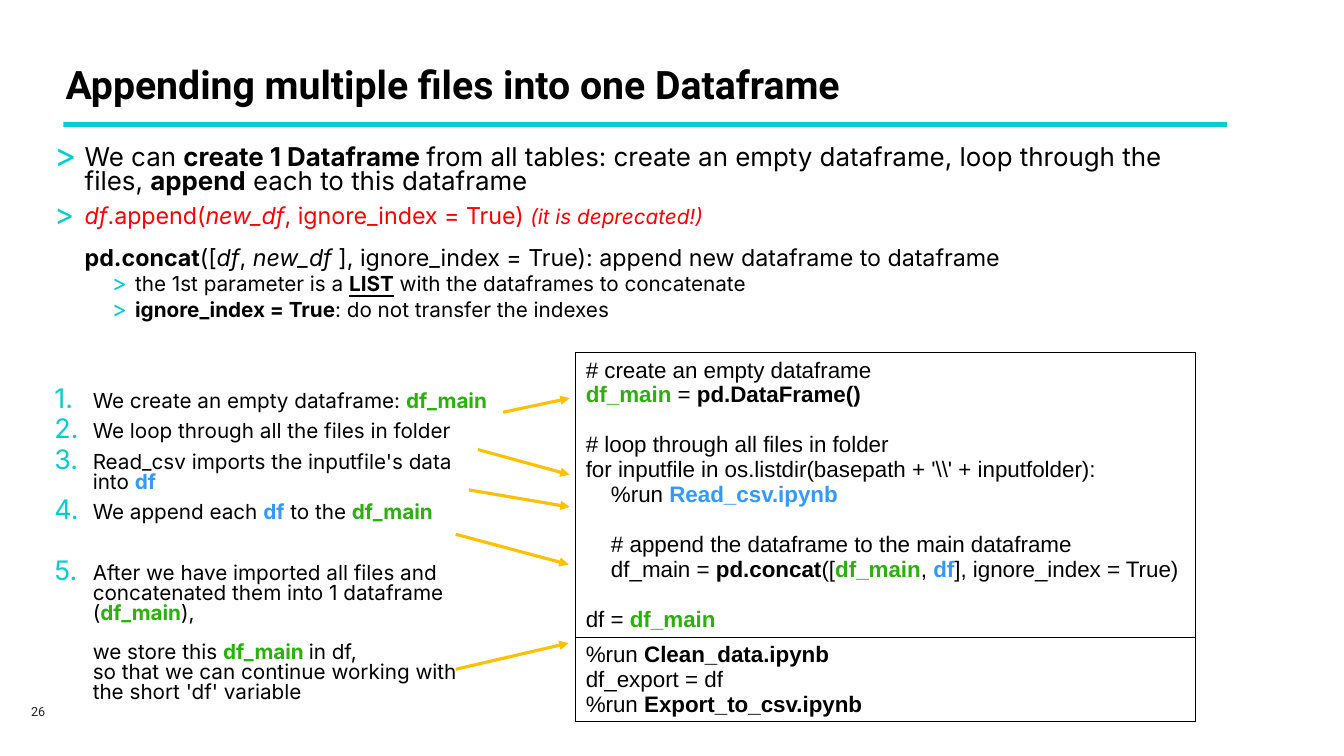
from copy import deepcopy

from lxml import etree
from pptx import Presentation
from pptx.dml.color import RGBColor
from pptx.enum.shapes import MSO_CONNECTOR, MSO_SHAPE
from pptx.enum.text import MSO_ANCHOR, MSO_AUTO_SIZE, PP_ALIGN
from pptx.oxml.ns import qn
from pptx.util import Inches, Pt

STRAIGHT = MSO_CONNECTOR.STRAIGHT
RECTANGLE = MSO_SHAPE.RECTANGLE
TOP = MSO_ANCHOR.TOP
NO_AUTOFIT = MSO_AUTO_SIZE.NONE
LEFT = PP_ALIGN.LEFT

BLACK = RGBColor(0x00, 0x00, 0x00)
GRAY = RGBColor(0x23, 0x23, 0x23)
TURQUOISE = RGBColor(0x00, 0xCE, 0xD1)
RED = RGBColor(0xFF, 0x00, 0x00)
GREEN = RGBColor(0x2B, 0xB1, 0x0B)
BLUE = RGBColor(0x33, 0x99, 0xFF)
AMBER = RGBColor(0xFF, 0xC0, 0x00)
COLORS = {"r": RED, "g": GREEN, "l": BLUE}


def add_runs(p, runs, font, size):
    r = None
    for text, style, *own_size in runs:
        for i, part in enumerate(text.split("\n")):
            if i:
                p.add_line_break()
                p._p[-1].append(deepcopy(r._r.rPr))
            r = p.add_run()
            r.text = part
            r.font.name = font
            r.font.size = Pt(own_size[0] if own_size else size)
            r.font.bold = "b" in style
            r.font.italic = "i" in style
            r.font.underline = "u" in style
            r.font.color.rgb = next((COLORS[c] for c in style if c in COLORS), BLACK)


def add_xml(parent, tag, **attributes):
    return etree.SubElement(parent, qn(tag), attributes)


prs = Presentation()
prs.slide_width = Inches(13.33)
prs.slide_height = Inches(7.5)
s = prs.slides.add_slide(prs.slide_layouts[1])
title, body = s.placeholders

title.left, title.top, title.width, title.height = map(Inches, (0.55, 0.6, 11.24, 0.64))
tf = title.text_frame
tf.auto_size = NO_AUTOFIT
tf.vertical_anchor = TOP
p = tf.paragraphs[0]
p.alignment = LEFT
p.line_spacing = 0.9
add_runs(p, [("Appending multiple files into one Dataframe", "b")], "Roboto", 28)

rule = s.shapes.add_shape(RECTANGLE, Inches(0.63), Inches(1.21), Inches(11.54), Inches(0.05))
rule.shadow.inherit = False
rule.fill.solid()
rule.fill.fore_color.rgb = TURQUOISE
rule.line.fill.background()

LEVELS = {
    "point": (0, 0.3, -0.3, 130),
    "continued": (0, 0.3, 0, None),
    "sub": (1, 0.8, -0.23, 110),
    "step": (0, 0.38, -0.38, 130),
    "step_text": (0, 0.38, 0, None),
}
PARAGRAPHS = [
    ("point", 18.5, 7.5, [
        ("We can ", ""), ("create 1 Dataframe ", "b"),
        ("from all tables: create an empty dataframe, loop through the files, ", ""),
        ("append", "b"), (" each to this dataframe", "")]),
    ("point", 16.6, 7.5, [
        ("df", "ir"), (".append(", "r"), ("new_df", "ir"),
        (", ignore_index = True) ", "r"), ("(it is deprecated!)", "ir", 14.8)]),
    ("continued", 16.6, 14, [
        ("pd.concat", "b"), ("([", ""), ("df", "i"), (", ", ""), ("new_df ", "i"),
        ("], ignore_index = True): append new dataframe to dataframe", "")]),
    ("sub", 14.8, 3.8, [
        ("the 1st parameter is a ", ""), ("LIST", "bu"),
        (" with the dataframes to concatenate", "")]),
    ("sub", 14.8, 3.8, [
        ("ignore_index = True", "b"), (": do not transfer the indexes", "")]),
    ("step", 14.8, 51, [("We create an empty dataframe: ", ""), ("df_main", "bg")]),
    ("step", 14.8, 7.5, [("We loop through all the files in folder", "")]),
    ("step", 14.8, 7.5, [("Read_csv imports the inputfile's data\ninto ", ""), ("df", "bl")]),
    ("step", 14.8, 7.5, [
        ("We append each ", ""), ("df", "bl"), (" to the ", ""), ("df_main", "bg")]),
    ("step", 14.8, 29.3, [
        ("After we have imported all files and\nconcatenated them into 1 dataframe\n(", ""),
        ("df_main", "bg"), ("),", "")]),
    ("step_text", 14.8, 14, [
        ("we store this ", ""), ("df_main ", "bg"),
        ("in df,\nso that we can continue working with\nthe short 'df' variable", "")]),
]

body.left, body.top, body.width, body.height = map(Inches, (0.44, 1.4, 11.82, 6.1))
tf = body.text_frame
tf.auto_size = NO_AUTOFIT
tf.vertical_anchor = TOP
for i, (kind, size, before, runs) in enumerate(PARAGRAPHS):
    p = tf.add_paragraph() if i else tf.paragraphs[0]
    level, margin, indent, bullet_size = LEVELS[kind]
    p.level = level
    p.line_spacing = 0.8
    p.space_before = Pt(before)
    pPr = p._p.get_or_add_pPr()
    pPr.set("marL", str(Inches(margin)))
    pPr.set("indent", str(Inches(indent)))
    if bullet_size:
        add_xml(add_xml(pPr, "a:buClr"), "a:srgbClr", val=str(TURQUOISE))
        add_xml(pPr, "a:buSzPct", val=str(bullet_size * 1000))
        add_xml(pPr, "a:buFont", typeface="Inter")
        if kind == "step":
            add_xml(pPr, "a:buAutoNum", type="arabicPeriod")
        else:
            add_xml(pPr, "a:buChar", char=">")
    else:
        add_xml(pPr, "a:buNone")
    add_runs(p, runs, "Inter", size)

LINE_GAP = 17.9
CODE = [
    [
        (0, 0, [("# create an empty dataframe", "")]),
        (0, 0, [("df_main ", "bg"), ("= ", ""), ("pd.DataFrame()", "b")]),
        (LINE_GAP, 0, [("# loop through all files in folder", "")]),
        (0, 0, [("for inputfile in os.listdir(basepath + '\\\\' + inputfolder):", "")]),
        (0, 0.25, [("%run ", ""), ("Read_csv.ipynb", "bl")]),
        (LINE_GAP, 0.25, [("# append the dataframe to the main dataframe", "")]),
        (0, 0.25, [
            ("df_main = ", ""), ("pd.concat", "b"), ("([", ""), ("df_main", "bg"),
            (", ", ""), ("df", "bl"), ("], ignore_index = True)", "")]),
        (LINE_GAP, 0, [("df = ", ""), ("df_main", "bg")]),
    ],
    [
        (0, 0, [("%run ", ""), ("Clean_data.ipynb", "b")]),
        (0, 0, [("df_export = df", "")]),
        (0, 0, [("%run ", ""), ("Export_to_csv.ipynb", "b")]),
    ],
]
table = s.shapes.add_table(2, 1, Inches(5.71), Inches(3.5), Inches(6.15), Inches(3.57)).table
table.first_row = False
table.horz_banding = False
for row, height, lines in zip(table.rows, (2.75, 0.82), CODE):
    row.height = Inches(height)
    cell = row.cells[0]
    tcPr = cell._tc.get_or_add_tcPr()
    for side in ("a:lnL", "a:lnR", "a:lnT", "a:lnB"):
        border = add_xml(tcPr, side, w=str(Pt(1)))
        add_xml(add_xml(border, "a:solidFill"), "a:srgbClr", val=str(BLACK))
    cell.fill.background()
    tf = cell.text_frame
    for i, (before, margin, runs) in enumerate(lines):
        p = tf.add_paragraph() if i else tf.paragraphs[0]
        p.space_before = Pt(before)
        p._p.get_or_add_pPr().set("marL", str(Inches(margin)))
        add_runs(p, runs, "Arial", 16)

ARROWS = [
    (4.99, 4.09, 5.65, 3.95),
    (4.74, 4.46, 5.65, 4.71),
    (4.65, 4.86, 5.65, 5.03),
    (4.52, 5.3, 5.64, 5.6),
    (4.52, 6.64, 5.64, 6.38),
]
for ends in ARROWS:
    arrow = s.shapes.add_connector(STRAIGHT, *map(Inches, ends))
    arrow.line.color.rgb = AMBER
    arrow.line.width = Pt(2.25)
    add_xml(arrow.line._get_or_add_ln(), "a:tailEnd", type="triangle")
    add_xml(arrow._element.spPr, "a:effectLst")

number = s.shapes.add_textbox(Inches(0.21), Inches(6.93), Inches(0.45), Inches(0.25))
tf = number.text_frame
tf.word_wrap = True
p = tf.paragraphs[0]
p.text = "26"
p.font.name = "Roboto"
p.font.size = Pt(9)
p.font.color.rgb = GRAY

prs.save("out.pptx")
